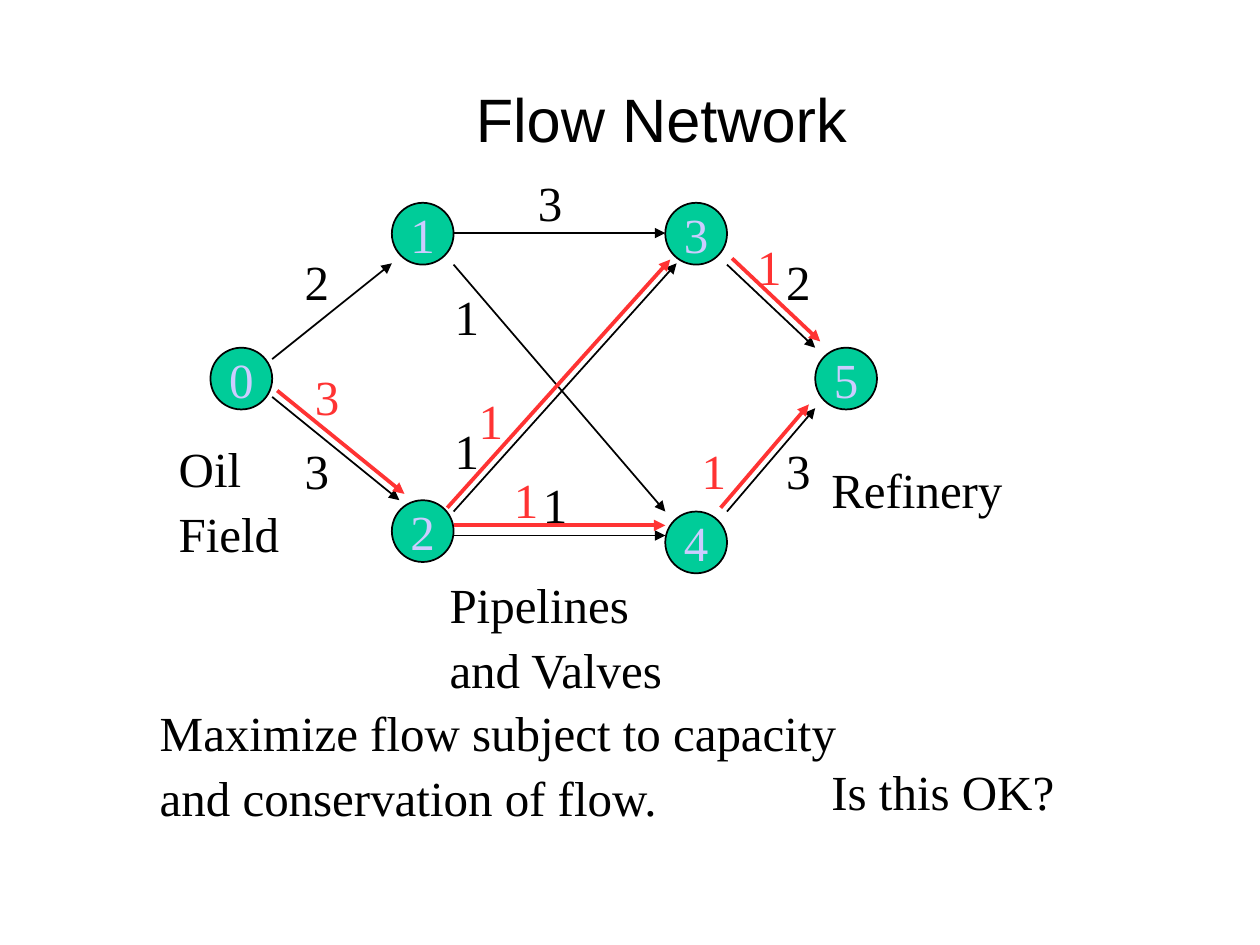
from pptx import Presentation
from pptx.dml.color import RGBColor
from pptx.enum.dml import MSO_LINE
from pptx.enum.shapes import MSO_CONNECTOR, MSO_SHAPE
from pptx.enum.text import MSO_ANCHOR, PP_ALIGN
from pptx.oxml.ns import qn
from pptx.util import Inches, Pt
from lxml import etree

STRAIGHT = MSO_CONNECTOR.STRAIGHT
SOLID = MSO_LINE.SOLID
ELLIPSE = MSO_SHAPE.OVAL
MIDDLE, TOP = MSO_ANCHOR.MIDDLE, MSO_ANCHOR.TOP
CENTER, LEFT = PP_ALIGN.CENTER, PP_ALIGN.LEFT

COLORS = {"ink": "000000", "node": "00CC99", "number": "CCCCFF", "flow": "FF3333"}
NODE_SIZE = 0.49
LABEL_SIZE = (0.59, 0.57)

TITLE = ("Flow Network", (0.75, 0.52, 8.5, 0.83))
CAPTIONS = [
    (["Maximize flow subject to capacity", "and conservation of flow."], (1.16, 5.58, 7.17, 0.76)),
    (["Refinery"], (6.49, 3.65, 1.86, 0.6)),
    (["Oil", "Field"], (1.31, 3.48, 1.78, 1.22)),
    (["Pipelines", "and Valves"], (3.46, 4.56, 2.6, 1.2)),
    (["Is this OK?"], (6.49, 6.05, 2.41, 0.6)),
]
NODES = {
    "0": (1.67, 2.76), "1": (3.11, 1.61), "2": (3.11, 3.97),
    "3": (5.28, 1.61), "4": (5.28, 4.06), "5": (6.47, 2.76),
}
PIPES = [
    {"start": (2.16, 2.85), "end": (3.11, 2.09), "capacity": ("2", 2.31, 2.0)},
    {"start": (2.16, 3.15), "end": (3.17, 3.97), "capacity": ("3", 2.31, 3.5),
     "flow": ("3", 2.39, 2.91), "offset": (0.04, -0.05)},
    {"start": (3.6, 1.85), "end": (5.28, 1.85), "capacity": ("3", 4.16, 1.37)},
    {"start": (3.6, 2.1), "end": (5.28, 4.06), "capacity": ("1", 3.5, 2.28)},
    {"start": (3.6, 4.06), "end": (5.37, 2.09), "capacity": ("1", 3.5, 3.34),
     "flow": ("1", 3.69, 3.1), "offset": (-0.05, -0.03)},
    {"start": (3.6, 4.25), "end": (5.28, 4.25), "capacity": ("1", 4.2, 3.77),
     "flow": ("1", 3.97, 3.73), "offset": (0, -0.08)},
    {"start": (5.77, 2.1), "end": (6.47, 2.76), "capacity": ("2", 6.13, 2.0),
     "flow": ("1", 5.9, 1.88), "offset": (0.04, -0.05)},
    {"start": (5.77, 4.06), "end": (6.47, 3.24), "capacity": ("3", 6.13, 3.5),
     "flow": ("1", 5.46, 3.5), "offset": (-0.05, -0.03)},
]


def color(name):
    return RGBColor.from_string(COLORS[name])


def write(shape, lines, size=28, font="Times New Roman", ink="ink", align=LEFT,
          anchor=TOP, wrap=True, before=7, spacing=0.9, indent=(0.38, -0.37)):
    frame = shape.text_frame
    frame.word_wrap = wrap
    frame.vertical_anchor = anchor
    for index, line in enumerate(lines):
        paragraph = frame.add_paragraph() if index else frame.paragraphs[0]
        paragraph.alignment = align
        paragraph.space_before = Pt(before)
        paragraph.line_spacing = spacing
        properties = paragraph._p.get_or_add_pPr()
        properties.set("marL", str(Inches(indent[0])))
        properties.set("indent", str(Inches(indent[1])))
        run = paragraph.add_run()
        run.text = line
        run.font.size = Pt(size)
        run.font.name = font
        run.font.color.rgb = color(ink)


def add_text(slide, lines, box, **style):
    write(slide.shapes.add_textbox(*map(Inches, box)), lines, **style)


def add_label(slide, label, ink):
    text, left, top = label
    add_text(slide, [text], (left, top, *LABEL_SIZE), ink=ink)


def add_arrow(slide, start, end, ink, width):
    arrow = slide.shapes.add_connector(STRAIGHT, *map(Inches, (*start, *end)))
    arrow.line.color.rgb = color(ink)
    arrow.line.width = Pt(width)
    arrow.line.dash_style = SOLID
    etree.SubElement(arrow.line._get_or_add_ln(), qn("a:tailEnd"), type="triangle")
    etree.SubElement(arrow._element.spPr, qn("a:effectLst"))


def add_node(slide, number, position):
    node = slide.shapes.add_shape(ELLIPSE, *map(Inches, (*position, NODE_SIZE, NODE_SIZE)))
    node.shadow.inherit = False
    node.fill.solid()
    node.fill.fore_color.rgb = color("node")
    node.line.color.rgb = color("ink")
    node.line.width = Pt(1)
    write(node, [number], ink="number", align=CENTER, anchor=MIDDLE, wrap=False,
          before=0, spacing=1.0, indent=(0, 0))


def main():
    presentation = Presentation()
    presentation.slide_width, presentation.slide_height = Inches(10), Inches(7.5)
    slide = presentation.slides.add_slide(presentation.slide_layouts[6])

    title, title_box = TITLE
    add_text(slide, [title], title_box, size=35, font="Arial", align=CENTER,
             anchor=MIDDLE, before=6, spacing=1.0, indent=(0.81, -0.31))
    for lines, box in CAPTIONS:
        add_text(slide, lines, box)
    for number, position in NODES.items():
        add_node(slide, number, position)
    for pipe in PIPES:
        add_arrow(slide, pipe["start"], pipe["end"], "ink", 1)
        add_label(slide, pipe["capacity"], "ink")
    for pipe in PIPES:
        if "flow" in pipe:
            shift_x, shift_y = pipe["offset"]
            start, end = [(x + shift_x, y + shift_y) for x, y in (pipe["start"], pipe["end"])]
            add_arrow(slide, start, end, "flow", 2.15)
            add_label(slide, pipe["flow"], "flow")

    presentation.save("out.pptx")


if __name__ == "__main__":
    main()
